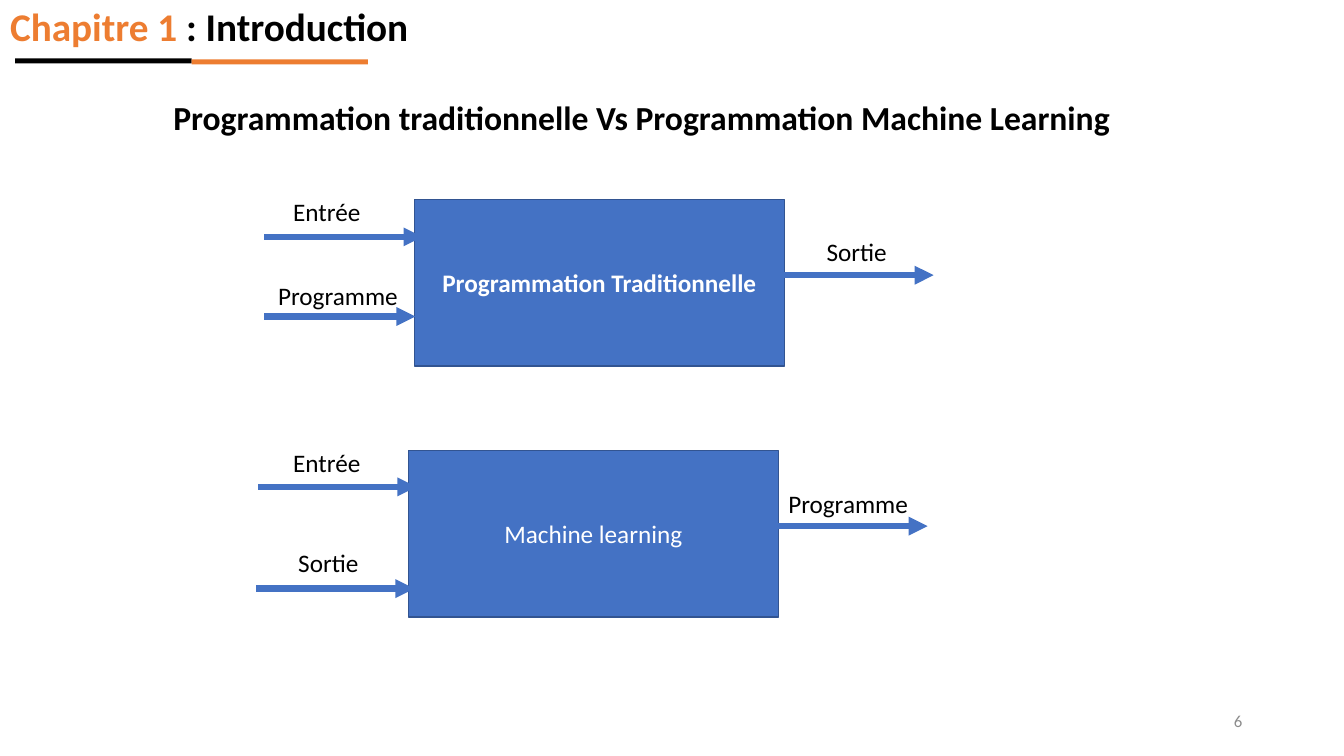
from lxml import etree
from pptx import Presentation, util as u
from pptx.dml.color import RGBColor
from pptx.enum import shapes, text
from pptx.oxml import ns

PX = u.Inches(1) // 100
FONT = "Calibri"
BLACK = RGBColor(0x00, 0x00, 0x00)
WHITE = RGBColor(0xFF, 0xFF, 0xFF)
ORANGE = RGBColor(0xED, 0x7D, 0x31)
BLUE = RGBColor(0x44, 0x72, 0xC4)
DARK_BLUE = RGBColor(0x32, 0x54, 0x91)
GREY = RGBColor(0x8C, 0x8C, 0x8C)


def px(*lengths):
    return [length * PX for length in lengths]


def format_font(font, size, color, bold=False):
    font.name = FONT
    font.size = u.Pt(size)
    font.color.rgb = color
    font.bold = bold


def add_rectangle(slide, box, fill):
    shape = slide.shapes.add_shape(shapes.MSO_SHAPE.RECTANGLE, *px(*box))
    shape.shadow.inherit = False
    shape.fill.solid()
    shape.fill.fore_color.rgb = fill
    shape.line.fill.background()
    return shape


def add_text(slide, box, wording, size=18, color=BLACK, bold=False, wrap=True):
    shape = slide.shapes.add_textbox(*px(*box))
    frame = shape.text_frame
    frame.word_wrap = wrap
    frame.text = wording
    format_font(frame.paragraphs[0].runs[0].font, size, color, bold)
    return frame


def add_arrow(slide, start, end, y):
    arrow = slide.shapes.add_connector(
        shapes.MSO_CONNECTOR.STRAIGHT, *px(start, y, end, y))
    arrow.line.color.rgb = BLUE
    arrow.line.width = u.Pt(4.5)
    properties = arrow.line._get_or_add_ln()
    etree.SubElement(properties, ns.qn("a:tailEnd"), type="triangle")
    etree.SubElement(arrow._element.spPr, ns.qn("a:effectLst"))


def add_header(slide, left, top):
    """Place the two-colour chapter title and its underline."""
    for index, (color, offset) in enumerate([(BLACK, 53), (ORANGE, 54)]):
        add_rectangle(slide, (left + 15 + index * 175, top + offset, 175, 5), color)
    title = slide.shapes.title
    title.left, title.top, title.width, title.height = px(left, top, 1238, 50)
    frame = title.text_frame
    frame.auto_size = text.MSO_AUTO_SIZE.NONE
    frame.vertical_anchor = text.MSO_ANCHOR.BOTTOM
    paragraph = frame.paragraphs[0]
    paragraph.alignment = text.PP_ALIGN.LEFT
    paragraph.line_spacing = 0.9
    for wording, color in [("Chapitre 1 ", ORANGE), (": Introduction", BLACK)]:
        run = paragraph.add_run()
        run.text = wording
        format_font(run.font, 28, color, bold=True)


def add_process(slide, left, top, name, bold, arrows, labels):
    """Draw a process box; arrows and labels are offsets from its corner."""
    shape = add_rectangle(slide, (left, top, 367, 165), BLUE)
    shape.line.color.rgb = DARK_BLUE
    shape.line.width = u.Pt(1)
    frame = shape.text_frame
    frame.text = name
    frame.vertical_anchor = text.MSO_ANCHOR.MIDDLE
    frame.paragraphs[0].alignment = text.PP_ALIGN.CENTER
    format_font(frame.paragraphs[0].runs[0].font, 18, WHITE, bold)
    for start, end, y in arrows:
        add_arrow(slide, left + start, left + end, top + y)
    for wording, x, y in labels:
        add_text(slide, (left + x, top + y, 177, 40), wording)


def add_page_number(slide, box, number):
    frame = add_text(slide, box, number, size=12, color=GREY)
    frame.vertical_anchor = text.MSO_ANCHOR.MIDDLE
    frame.paragraphs[0].alignment = text.PP_ALIGN.RIGHT


def main():
    presentation = Presentation()
    presentation.slide_width, presentation.slide_height = px(1333, 750)
    slide = presentation.slides.add_slide(presentation.slide_layouts[5])
    add_header(slide, 0, 5)
    add_text(slide, (162, 91, 961, 50),
             "Programmation traditionnelle Vs Programmation Machine Learning",
             size=24, bold=True, wrap=False)
    add_process(slide, 411, 198, "Programmation Traditionnelle", True,
                [(-149, 8, 37), (-149, 1, 116), (358, 515, 75)],
                [("Entrée", -130, -8), ("Programme", -145, 75), ("Sortie", 399, 32)])
    add_process(slide, 405, 447, "Machine learning", False,
                [(-149, 8, 36), (-151, 6, 137), (358, 515, 75)],
                [("Entrée", -124, -8), ("Sortie", -119, 91), ("Programme", 367, 33)])
    add_page_number(slide, (942, 695, 300, 40), "6")
    presentation.save("out.pptx")


if __name__ == "__main__":
    main()
